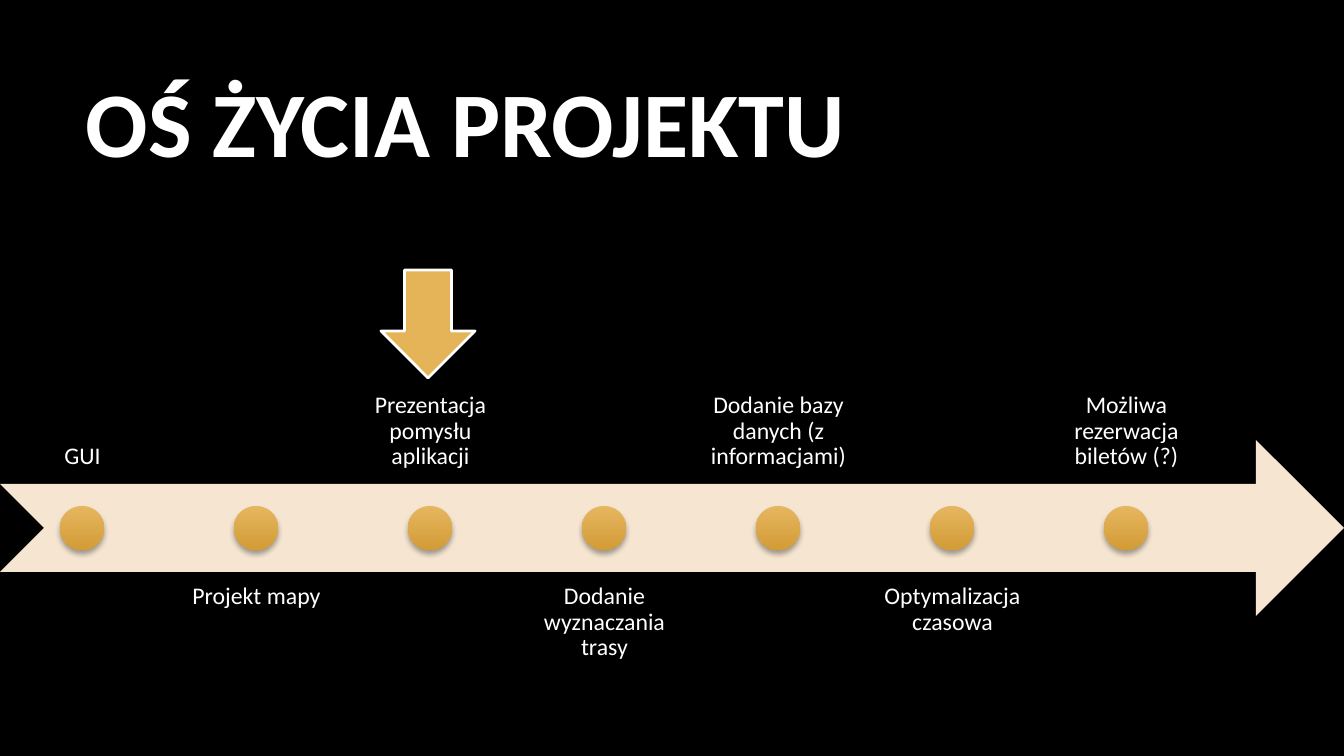
from lxml import etree
from pptx import Presentation
from pptx.dml.color import RGBColor
from pptx.enum.shapes import MSO_SHAPE
from pptx.enum.text import MSO_ANCHOR, PP_ALIGN
from pptx.oxml.ns import qn
from pptx.util import Inches, Pt

NOTCHED_ARROW = MSO_SHAPE.NOTCHED_RIGHT_ARROW
DOWN_ARROW = MSO_SHAPE.DOWN_ARROW
OVAL = MSO_SHAPE.OVAL
TOP, MIDDLE, BOTTOM = MSO_ANCHOR.TOP, MSO_ANCHOR.MIDDLE, MSO_ANCHOR.BOTTOM
LEFT, CENTER = PP_ALIGN.LEFT, PP_ALIGN.CENTER

PX = Inches(1) / 100.8
THEME = {
    "font": "Calibri",
    "title_size": 66,
    "label_size": 17,
    "background": RGBColor.from_string("000000"),
    "text": RGBColor.from_string("FFFFFF"),
    "band": RGBColor.from_string("F5E5D1"),
    "dot_top": RGBColor.from_string("E6B660"),
    "dot_bottom": RGBColor.from_string("D29C36"),
    "marker": RGBColor.from_string("E5B458"),
    "shadow": "000000",
}
MILESTONES = [
    "GUI",
    "Projekt mapy",
    "Prezentacja pomysłu aplikacji",
    "Dodanie wyznaczania trasy",
    "Dodanie bazy danych (z informacjami)",
    "Optymalizacja czasowa",
    "Możliwa rezerwacja biletów (?)",
]
STEP = 174
LABEL_W, LABEL_H = 165, 176
ABOVE_Y, BELOW_Y = 307, 571
DOT_X, DOT_Y, DOT_SIZE = 60, 506, 44


def add_text(text, box, size, bold=False, align=LEFT, anchor=TOP, inset=None, spacing=None):
    tb = s.shapes.add_textbox(*(round(v * PX) for v in box))
    tf = tb.text_frame
    tf.word_wrap = True
    tf.vertical_anchor = anchor
    if inset is not None:
        tf.margin_left = tf.margin_right = tf.margin_top = tf.margin_bottom = round(inset * PX)
    p = tf.paragraphs[0]
    p.alignment = align
    p.line_spacing = spacing
    r = p.add_run()
    r.text = text
    r.font.name = THEME["font"]
    r.font.size = Pt(size)
    r.font.bold = bold
    r.font.color.rgb = THEME["text"]


def add_preset(kind, box, shadow=False):
    """Add a preset shape without a line, with a soft shadow below it if asked."""
    sp = s.shapes.add_shape(kind, *(round(v * PX) for v in box))
    sp.line.fill.background()
    sp.shadow.inherit = False
    if shadow:
        effects = sp.element.spPr.find(qn("a:effectLst"))
        outer = etree.SubElement(effects, qn("a:outerShdw"), blurRad=str(Pt(4)),
                                 dist=str(Pt(3)), dir="5400000", rotWithShape="0")
        color = etree.SubElement(outer, qn("a:srgbClr"), val=THEME["shadow"])
        etree.SubElement(color, qn("a:alpha"), val="35000")
    return sp


prs = Presentation()
prs.slide_width = round(1344 * PX)
prs.slide_height = round(756 * PX)
s = prs.slides.add_slide(prs.slide_layouts[6])
s.background.fill.solid()
s.background.fill.fore_color.rgb = THEME["background"]

add_text("OŚ ŻYCIA PROJEKTU", (76, 48, 1117, 160), THEME["title_size"],
         bold=True, anchor=MIDDLE, spacing=0.9)

band = add_preset(NOTCHED_ARROW, (0, 440, 1344, 176), shadow=True)
band.fill.solid()
band.fill.fore_color.rgb = THEME["band"]

for i, name in enumerate(MILESTONES):
    above = i % 2 == 0
    add_text(name, (i * STEP, ABOVE_Y if above else BELOW_Y, LABEL_W, LABEL_H),
             THEME["label_size"], align=CENTER, anchor=BOTTOM if above else TOP,
             inset=13, spacing=0.9)
    dot = add_preset(OVAL, (DOT_X + i * STEP, DOT_Y, DOT_SIZE, DOT_SIZE), shadow=True)
    dot.fill.gradient()
    dot.fill.gradient_angle = 270
    for stop, key in zip(dot.fill.gradient_stops, ("dot_top", "dot_bottom")):
        stop.color.rgb = THEME[key]

marker = add_preset(DOWN_ARROW, (381, 270, 94, 108))
marker.fill.solid()
marker.fill.fore_color.rgb = THEME["marker"]
marker.line.color.rgb = THEME["text"]
marker.line.width = Pt(2)

prs.save("out.pptx")
